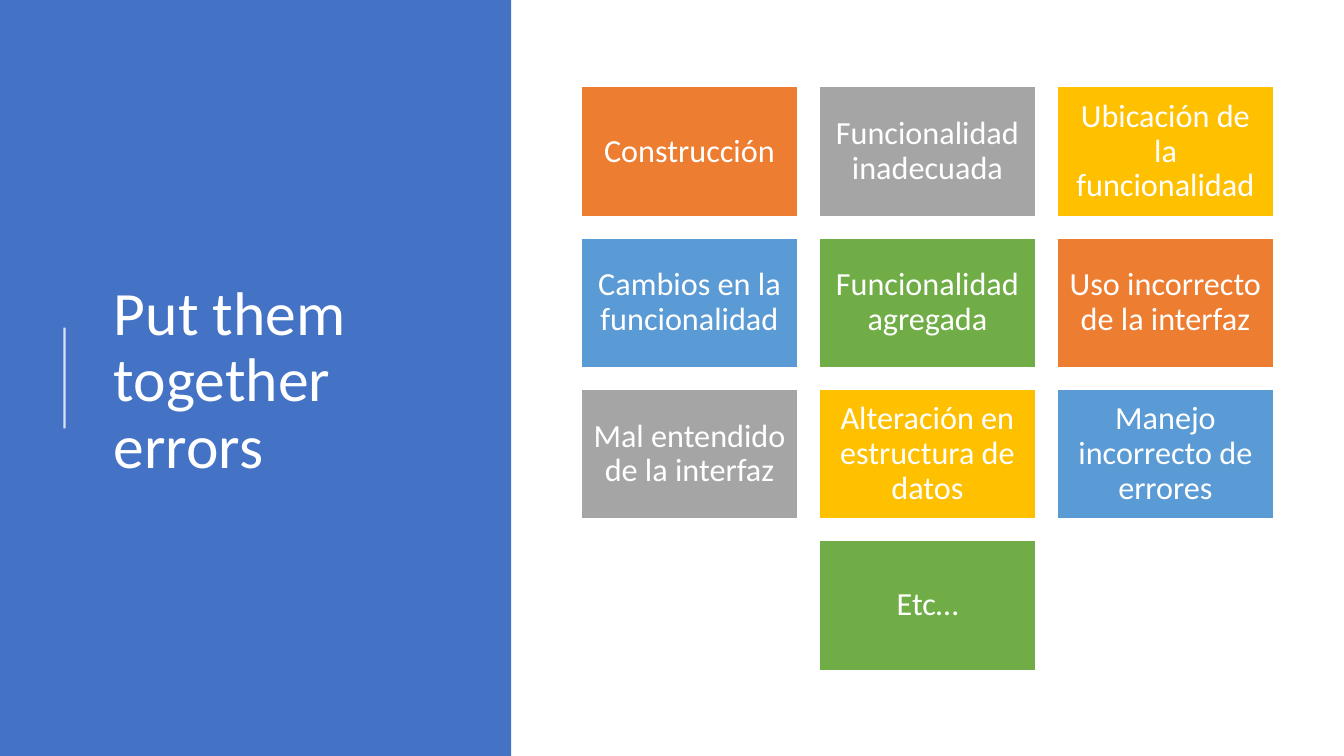
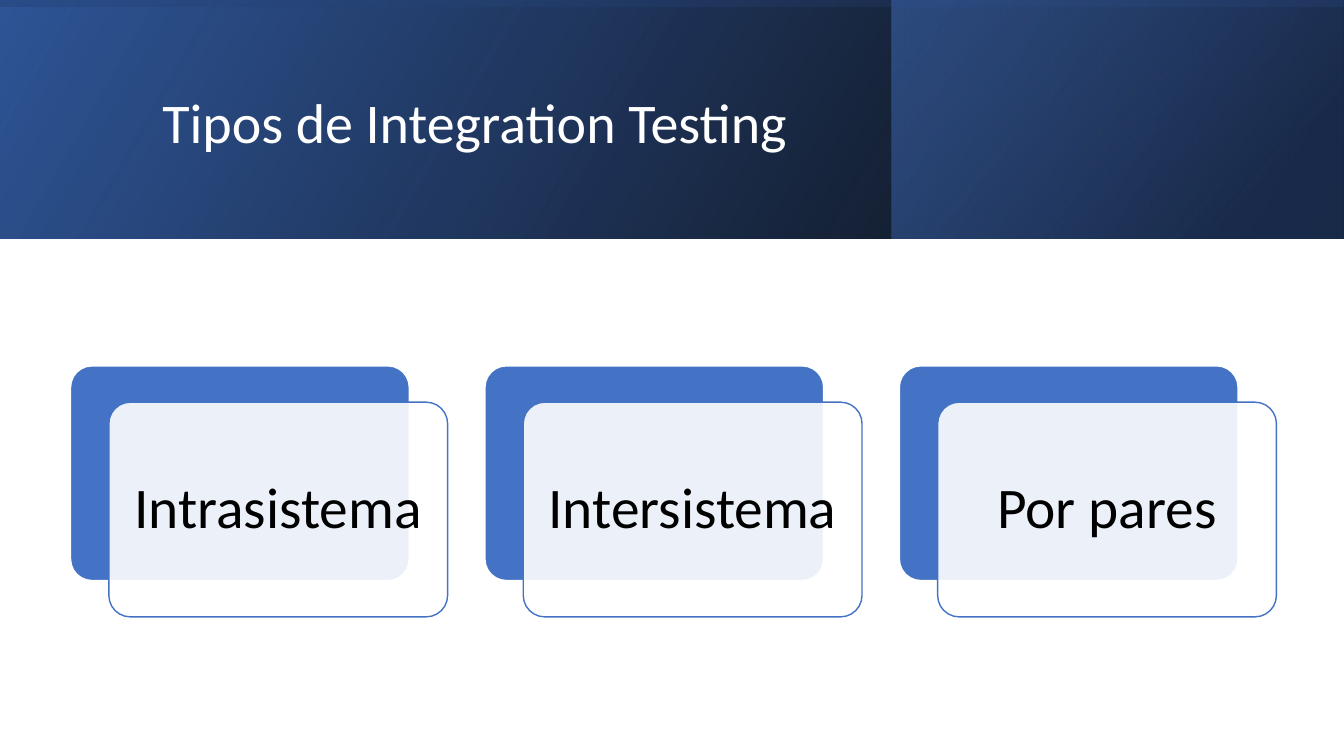
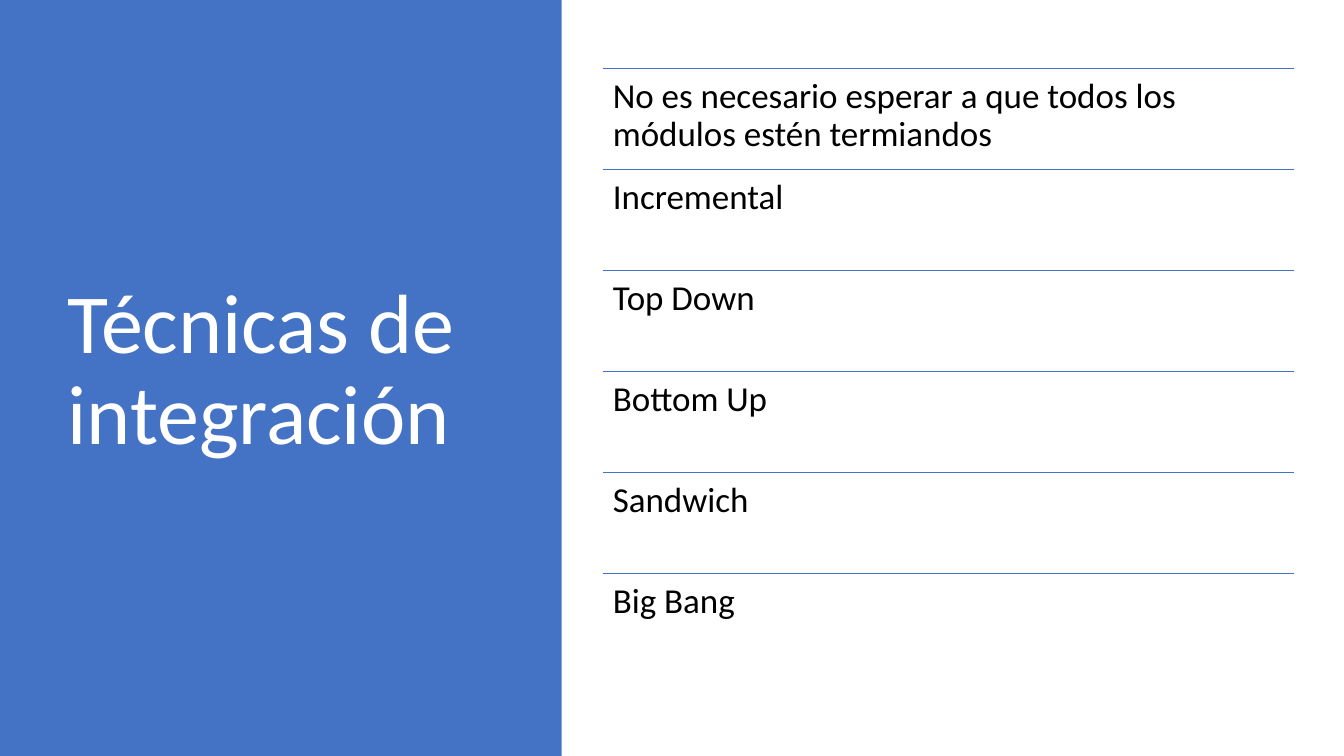
import pptx
import pptx.util
import pptx.dml.color
import pptx.enum.shapes
import pptx.enum.text
import pptx.oxml.ns
import lxml.etree

Inches = pptx.util.Inches
Pt = pptx.util.Pt
RGBColor = pptx.dml.color.RGBColor
Shape = pptx.enum.shapes.MSO_SHAPE
Align = pptx.enum.text.PP_ALIGN
Anchor = pptx.enum.text.MSO_ANCHOR
qn = pptx.oxml.ns.qn

FONT = "Calibri"
WHITE = RGBColor(0xFF, 0xFF, 0xFF)
BLACK = RGBColor(0x00, 0x00, 0x00)
BLUE = RGBColor(0x44, 0x72, 0xC4)
DEEP = RGBColor(0x2F, 0x55, 0x97)
NAVY = RGBColor(0x20, 0x38, 0x64)
ORANGE = RGBColor(0xED, 0x7D, 0x31)
GRAY = RGBColor(0xA5, 0xA5, 0xA5)
GOLD = RGBColor(0xFF, 0xC0, 0x00)
SKY = RGBColor(0x5B, 0x9B, 0xD5)
GREEN = RGBColor(0x70, 0xAD, 0x47)


def box(slide, kind, at, fill=None, line=None):
    shape = slide.shapes.add_shape(kind, *[Inches(n) for n in at])
    shape.shadow.inherit = False
    if fill is not None:
        shape.fill.solid()
        shape.fill.fore_color.rgb = fill
    if line is None:
        shape.line.fill.background()
    else:
        shape.line.color.rgb = line
        shape.line.width = Pt(1)
    return shape


def write(shape, text, size, color, align, anchor, inset=None):
    frame = shape.text_frame
    frame.word_wrap = True
    frame.auto_size = pptx.enum.text.MSO_AUTO_SIZE.NONE
    frame.vertical_anchor = anchor
    if inset is not None:
        frame.margin_left = frame.margin_right = Inches(inset)
        frame.margin_top = frame.margin_bottom = Inches(inset)
    frame.text = text
    para = frame.paragraphs[0]
    para.alignment = align
    para.line_spacing = 0.9
    para.font.name = FONT
    para.font.size = Pt(size)
    para.font.color.rgb = color


deck = pptx.Presentation()
deck.slide_width = Inches(13.33)
deck.slide_height = Inches(7.5)

# Slides with side panels and titles
heads = [
    ("Put them together errors", (1.03, 0.78, 3.69, 6.02), 44, 5.07),
    ("Tipos de Integration Testing", (1.51, 0.38, 10.63, 1.72), 40, None),
    ("Técnicas de integración", (0.57, 0.68, 4.16, 6.02), 60, 5.57),
]
for text, at, size, panel in heads:
    slide = deck.slides.add_slide(deck.slide_layouts[5])
    title = slide.shapes.title
    title.left, title.top, title.width, title.height = [Inches(n) for n in at]
    write(title, text, size, WHITE, Align.LEFT, Anchor.MIDDLE)
    if panel:
        box(slide, Shape.RECTANGLE, (0, 0, panel, 7.5), BLUE)
        slide.shapes._spTree.append(title._element)
errors, types, methods = deck.slides

# Error tiles, three to a row, the last one centred
tiles = [
    "Construcción", "Funcionalidad inadecuada", "Ubicación de la funcionalidad",
    "Cambios en la funcionalidad", "Funcionalidad agregada",
    "Uso incorrecto de la interfaz", "Mal entendido de la interfaz",
    "Alteración en estructura de datos", "Manejo incorrecto de errores", "Etc…",
]
hues = [ORANGE, GRAY, GOLD, SKY, GREEN]
for i, text in enumerate(tiles):
    row, col = divmod(i, 3)
    if i == len(tiles) - 1:
        col = 1
    at = (5.77 + 2.36 * col, 0.86 + 1.5 * row, 2.14, 1.29)
    tile = box(errors, Shape.RECTANGLE, at, hues[i % len(hues)], WHITE)
    write(tile, text, 23, WHITE, Align.CENTER, Anchor.MIDDLE, 0.1)

# Layered gradient bands: place, turn, angle, stops (position, colour, opacity)
bands = [
    ((0, 0, 13.33, 2.37), 0, 30, [(0, BLACK, 96), (1, DEEP, 100)]),
    ((8.84, 0, 4.48, 2.37), 0, 40, [(0.19, NAVY, 68), (1, BLUE, 48)]),
    ((5.48, -5.48, 2.37, 13.33), 270, 10, [(0.23, DEEP, 16), (0.99, BLACK, 45)]),
]
for i, (at, turn, angle, stops) in enumerate(bands):
    band = box(types, Shape.RECTANGLE, at)
    band.rotation = turn
    band._element.spPr.find(qn("a:xfrm")).set("flipH", "1")
    band.fill.gradient()
    band.fill.gradient_angle = angle
    for stop, (place, color, alpha) in zip(band.fill.gradient_stops, stops):
        stop.position = place
        stop.color.rgb = color
    marks = band._element.spPr.iter(qn("a:srgbClr"))
    for mark, (place, color, alpha) in zip(list(marks), stops):
        lxml.etree.SubElement(mark, qn("a:alpha")).set("val", str(alpha * 1000))
    types.shapes._spTree.insert(2 + i, band._element)

# Cards: a blue back and a translucent front
for i, text in enumerate(["Intrasistema", "Intersistema", "Por pares"]):
    left = 0.7 + 4.11 * i
    back = box(types, Shape.ROUNDED_RECTANGLE, (left, 3.63, 3.36, 2.13), BLUE, WHITE)
    at = (left + 0.38, 3.99, 3.36, 2.13)
    front = box(types, Shape.ROUNDED_RECTANGLE, at, WHITE, BLUE)
    back.adjustments[0] = front.adjustments[0] = 0.1
    tint = front._element.spPr.find(qn("a:solidFill"))[0]
    lxml.etree.SubElement(tint, qn("a:alpha")).set("val", "90000")
    write(front, text, 41, BLACK, Align.CENTER, Anchor.MIDDLE, 0.17)

# Method rows
rows = [
    "No es necesario esperar a que todos los módulos estén termiandos",
    "Incremental", "Top Down", "Bottom Up", "Sandwich", "Big Bang",
]
rules = [(errors, (0.64, 3.25, 0.64, 4.25), WHITE, 1.5, 80)]
for i, text in enumerate(rows):
    top = 0.68 + 1.002 * i
    rules.append((methods, (5.98, top, 12.83, top), BLUE, 1, 100))
    area = methods.shapes.add_textbox(Inches(5.98), Inches(top), Inches(6.85), Inches(1))
    write(area, text, 25, BLACK, Align.LEFT, Anchor.TOP, 0.1)

# Thin rules on the first and last slides
for slide, ends, color, width, alpha in rules:
    rule = slide.shapes.add_connector(
        pptx.enum.shapes.MSO_CONNECTOR.STRAIGHT, *[Inches(n) for n in ends])
    rule.line.color.rgb = color
    rule.line.width = Pt(width)
    props = rule._element.spPr
    if alpha < 100:
        ink = props.find(".//" + qn("a:srgbClr"))
        lxml.etree.SubElement(ink, qn("a:alpha")).set("val", str(alpha * 1000))
    lxml.etree.SubElement(props, qn("a:effectLst"))

deck.save("out.pptx")
